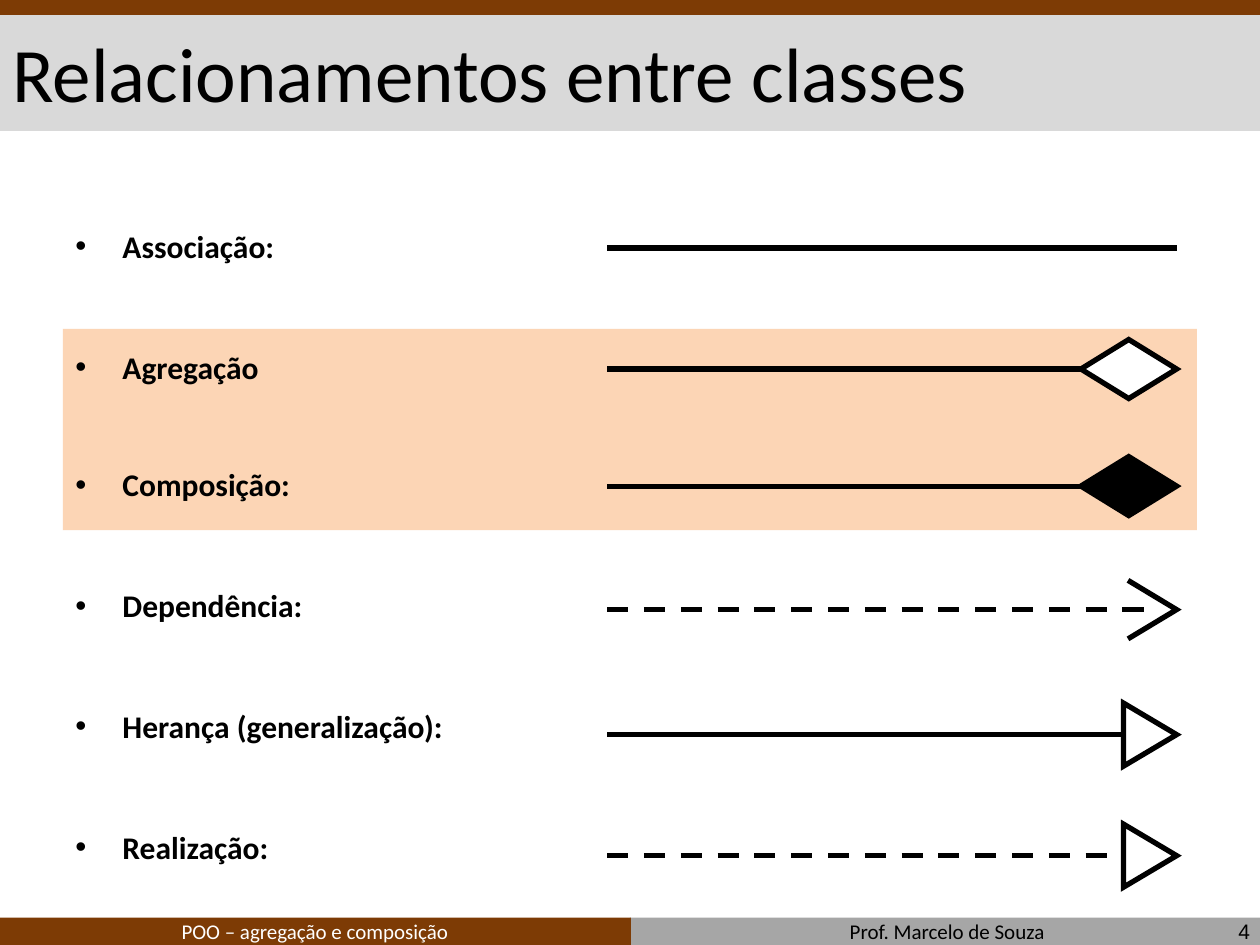
from lxml import etree
from pptx import Presentation
from pptx.dml.color import RGBColor
from pptx.enum.dml import MSO_LINE_DASH_STYLE as Dash
from pptx.enum.shapes import MSO_CONNECTOR, MSO_SHAPE as Shape
from pptx.enum.text import MSO_ANCHOR as Anchor, PP_ALIGN as Align
from pptx.oxml.ns import qn
from pptx.util import Cm, Pt

BLACK = RGBColor(0x00, 0x00, 0x00)
WHITE = RGBColor(0xFF, 0xFF, 0xFF)
BROWN = RGBColor(0x7D, 0x3B, 0x05)
GREY = RGBColor(0xA6, 0xA6, 0xA6)
LIGHT_GREY = RGBColor(0xD9, 0xD9, 0xD9)
PEACH = RGBColor(0xFC, 0xD5, 0xB5)

# Content: colour bands as (left, top, width, height, colour), in cm
BANDS = [
    (12.7, 18.5, 12.7, 0.6, GREY),
    (0, 18.5, 12.72, 0.6, BROWN),
    (0, 0.28, 25.4, 2.36, LIGHT_GREY),
    (0, 0, 25.4, 0.3, BROWN),
    (1.27, 6.63, 22.86, 4.06, PEACH),
]

# Texts as (text, box in cm, anchor, alignment, font format)
TEXTS = [
    ("Prof. Marcelo de Souza", (12.72, 18.39, 12.75, 0.76), Anchor.BOTTOM,
     Align.CENTER, {"name": "Calibri", "size": Pt(12)}, BLACK),
    ("POO – agregação e composição", (0, 18.39, 12.7, 0.76), Anchor.BOTTOM,
     Align.CENTER, {"name": "Calibri", "size": Pt(12)}, WHITE),
    ("Relacionamentos entre classes", (0, 0.3, 25.4, 2.31), Anchor.MIDDLE,
     Align.LEFT, {"name": "Calibri", "size": Pt(44)}, BLACK),
    ("4", (19.53, 18.36, 5.92, 0.84), Anchor.MIDDLE,
     Align.RIGHT, {"name": "Arial", "size": Pt(12)}, BLACK),
]

# Relationships as (label, space before in pt, line y in cm, dashed, head, head fill)
RELATIONSHIPS = [
    ("Associação:", 0, 5.0, False, None, None),
    ("Agregação", 47.5, 7.44, False, "diamond", WHITE),
    ("Composição:", 45.5, 9.8, False, "diamond", BLACK),
    ("Dependência:", 47.5, 12.29, True, "open", None),
    ("Herança (generalização):", 47.5, 14.81, False, "triangle", WHITE),
    ("Realização:", 47.5, 17.25, True, "triangle", WHITE),
]
LABEL_BOX = (1.27, 4.45, 22.86, 13.33)
LABEL_FONT = {"name": "Calibri", "size": Pt(18), "bold": True}
LINE_LEFT, LINE_RIGHT, OPEN_LINE_RIGHT = 12.24, 23.72, 23.2
DIAMOND_WIDTH, DIAMOND_HEIGHT = 1.93, 1.19
TRIANGLE_BASE, TRIANGLE_DEPTH = 1.27, 1.07
OPEN_DEPTH, OPEN_HALF = 0.98, 0.59

presentation = Presentation()
presentation.slide_width, presentation.slide_height = Cm(25.4), Cm(19.05)
slide = presentation.slides.add_slide(presentation.slide_layouts[6])
shapes = slide.shapes


def add_text_frame(box, anchor):
    frame = shapes.add_textbox(*map(Cm, box)).text_frame
    frame.word_wrap = True
    frame.vertical_anchor = anchor
    return frame


def write(paragraph, text, alignment, font_format, color):
    paragraph.alignment = alignment
    run = paragraph.add_run()
    run.text = text
    for name, value in font_format.items():
        setattr(run.font, name, value)
    run.font.color.rgb = color


def add_bullet(paragraph):
    properties = paragraph._p.get_or_add_pPr()
    properties.set("marL", str(Cm(0.95)))
    properties.set("indent", str(-Cm(0.95)))
    etree.SubElement(properties, qn("a:buFont")).set("typeface", "Arial")
    etree.SubElement(properties, qn("a:buChar")).set("char", "•")


def draw_outline(line):
    line.color.rgb = BLACK
    line.width = Pt(3)


def add_line(y, dashed, right):
    connector = shapes.add_connector(
        MSO_CONNECTOR.STRAIGHT, Cm(LINE_LEFT), Cm(y), Cm(right), Cm(y))
    draw_outline(connector.line)
    if dashed:
        connector.line.dash_style = Dash.DASH
    etree.SubElement(connector._element.spPr, qn("a:effectLst"))


def add_head(kind, y, fill):
    if kind == "open":
        left = LINE_RIGHT - OPEN_DEPTH
        builder = shapes.build_freeform(Cm(left), Cm(y - OPEN_HALF))
        builder.add_line_segments(
            [(Cm(LINE_RIGHT), Cm(y)), (Cm(left), Cm(y + OPEN_HALF))], close=False)
        head = builder.convert_to_shape()
    elif kind == "diamond":
        head = shapes.add_shape(
            Shape.DIAMOND, Cm(LINE_RIGHT - DIAMOND_WIDTH), Cm(y - DIAMOND_HEIGHT / 2),
            Cm(DIAMOND_WIDTH), Cm(DIAMOND_HEIGHT))
    else:
        # The box is placed by its centre, since it turns around it
        center = LINE_RIGHT - TRIANGLE_DEPTH / 2
        head = shapes.add_shape(
            Shape.ISOSCELES_TRIANGLE, Cm(center - TRIANGLE_BASE / 2),
            Cm(y - TRIANGLE_DEPTH / 2), Cm(TRIANGLE_BASE), Cm(TRIANGLE_DEPTH))
        head.rotation = 90
    head.shadow.inherit = False
    if fill is None:
        head.fill.background()
    else:
        head.fill.solid()
        head.fill.fore_color.rgb = fill
    draw_outline(head.line)
    outline = head._element.spPr.find(qn("a:ln"))
    etree.SubElement(outline, qn("a:miter")).set("lim", "800000")


# Colour bands
for left, top, width, height, color in BANDS:
    band = shapes.add_shape(Shape.RECTANGLE, Cm(left), Cm(top), Cm(width), Cm(height))
    band.shadow.inherit = False
    band.fill.solid()
    band.fill.fore_color.rgb = color
    band.line.fill.background()

# Title, footer and page number
for text, box, anchor, alignment, font_format, color in TEXTS:
    frame = add_text_frame(box, anchor)
    write(frame.paragraphs[0], text, alignment, font_format, color)

# Relationship labels with their lines and heads
labels = add_text_frame(LABEL_BOX, Anchor.TOP)
for index, (label, space, y, dashed, head, fill) in enumerate(RELATIONSHIPS):
    paragraph = labels.add_paragraph() if index else labels.paragraphs[0]
    write(paragraph, label, Align.JUSTIFY, LABEL_FONT, BLACK)
    paragraph.space_before = Pt(space)
    add_bullet(paragraph)
    add_line(y, dashed, OPEN_LINE_RIGHT if head == "open" else LINE_RIGHT)
    if head:
        add_head(head, y, fill)

presentation.save("out.pptx")
